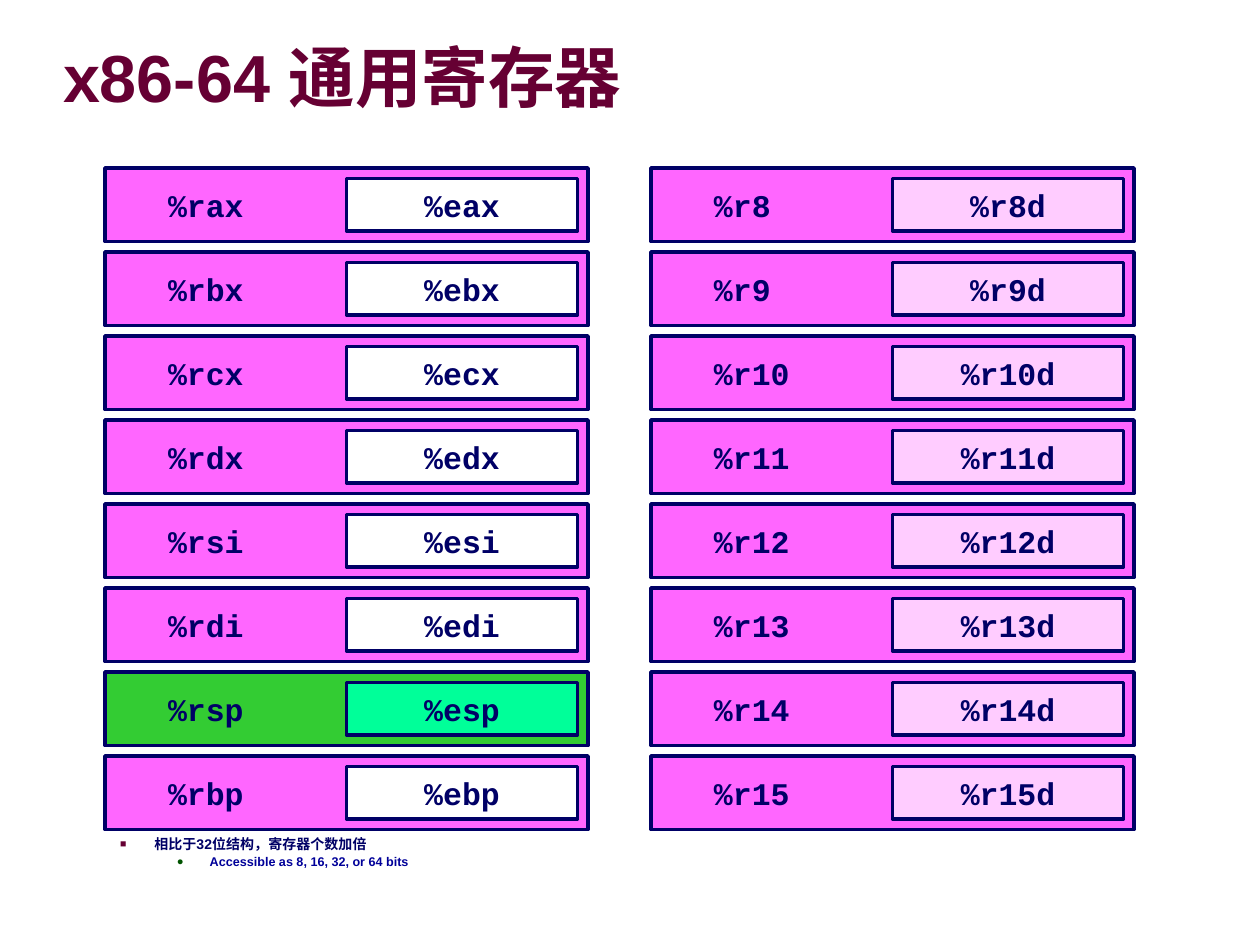
from lxml import etree
from pptx import Presentation
from pptx import util as u
from pptx.dml.color import RGBColor
from pptx.enum import shapes, text
from pptx.oxml import ns

UNIT = u.Inches(1) // 12  # the grid has twelve units to the inch
NAVY, PINK, PALE_PINK, WHITE = "000066", "FF66FF", "FFCCFF", "FFFFFF"
GREEN, MINT = "33CC33", "00FF99"
MAROON = "660033"
STACK_POINTER = "%rsp"

LEGACY = [("%r" + name, "%e" + name)
          for name in ("ax", "bx", "cx", "dx", "si", "di", "sp", "bp")]
EXTENDED = [(f"%r{number}", f"%r{number}d") for number in range(8, 16)]


def color(value):
    return RGBColor.from_string(value)


def grid(*units):
    return [round(unit * UNIT) for unit in units]


def add_element(parent, tag, **attributes):
    return etree.SubElement(parent, ns.qn(tag), attributes)


def format_font(font, size, name, value):
    font.size, font.name, font.bold = u.Pt(size), name, True
    font.color.rgb = color(value)


def set_insets(frame, left, top, right, bottom):
    frame.margin_left, frame.margin_top = u.Inches(left), u.Inches(top)
    frame.margin_right, frame.margin_bottom = u.Inches(right), u.Inches(bottom)


def add_title(slide, box):
    title = slide.shapes.title
    title.left, title.top, title.width, title.height = box
    frame = title.text_frame
    frame.text = "x86-64 通用寄存器"
    frame.auto_size = text.MSO_AUTO_SIZE.NONE
    frame.vertical_anchor = text.MSO_ANCHOR.MIDDLE
    set_insets(frame, 0, 0, 0, 0)
    paragraph = frame.paragraphs[0]
    paragraph.alignment = text.PP_ALIGN.LEFT
    paragraph.line_spacing = 0.87
    run = paragraph.runs[0]
    format_font(run.font, 38, "Arial", MAROON)
    # Text shadow, placed directly after the fill
    effects = etree.Element(ns.qn("a:effectLst"))
    shadow = add_element(effects, "a:outerShdw", dist="38100", dir="2700000")
    add_element(shadow, "a:srgbClr", val="969696")
    run.font._element.find(ns.qn("a:solidFill")).addnext(effects)


def add_box(slide, box, label, fill, alignment, left_inset):
    shape = slide.shapes.add_shape(shapes.MSO_SHAPE.RECTANGLE, *box)
    shape.shadow.inherit = False
    shape.fill.solid()
    shape.fill.fore_color.rgb = color(fill)
    shape.line.color.rgb = color(NAVY)
    shape.line.width = u.Pt(2)
    frame = shape.text_frame
    frame.text = label
    frame.word_wrap = False
    frame.vertical_anchor = text.MSO_ANCHOR.MIDDLE
    set_insets(frame, left_inset, 0.05, 0.1, 0.05)
    paragraph = frame.paragraphs[0]
    paragraph.alignment = alignment
    format_font(paragraph.runs[0].font, 18, "Courier New", NAVY)


def add_register(slide, left, top, names, fills):
    """A 64-bit register with its 32-bit half inside."""
    add_box(slide, grid(left, top, 46, 7), names[0], fills[0],
            text.PP_ALIGN.LEFT, 0.5)
    add_box(slide, grid(left + 23, top + 1, 22, 5), names[1], fills[1],
            text.PP_ALIGN.CENTER, 0.1)


def add_register_column(slide, left, top, registers, half_fill):
    for row, names in enumerate(registers):
        special = names[0] == STACK_POINTER
        fills = (GREEN, MINT) if special else (PINK, half_fill)
        add_register(slide, left, top + 8 * row, names, fills)


def add_notes(slide, box):
    frame = slide.shapes.add_textbox(*box).text_frame
    frame.word_wrap = True
    set_insets(frame, 0.1, 0.05, 0.1, 0.05)
    # text, margin, indent, bullet, bullet colour, bullet share, size, colour
    items = [
        ("相比于32位结构，寄存器个数加倍", 0.81, -0.27, "■", MAROON, 75, 8, NAVY),
        ("Accessible as 8, 16, 32, or 64 bits", 1.25, -0.26, "●", "005400", 90,
         7.2, "000099"),
    ]
    for level, item in enumerate(items):
        words, margin, indent, bullet, bullet_color, share, size, value = item
        paragraph = frame.add_paragraph() if level else frame.paragraphs[0]
        paragraph.text = words
        paragraph.level = level
        if level:
            paragraph.line_spacing = 0.87
            paragraph.space_before = u.Pt(2.2)
        properties = paragraph._p.get_or_add_pPr()
        properties.set("marL", str(u.Inches(margin)))
        properties.set("indent", str(u.Inches(indent)))
        add_element(add_element(properties, "a:buClr"), "a:srgbClr",
                    val=bullet_color)
        add_element(properties, "a:buSzPct", val=str(share * 1000))
        add_element(properties, "a:buFont", typeface="Arial")
        add_element(properties, "a:buChar", char=bullet)
        format_font(paragraph.runs[0].font, size, "Arial", value)


def main():
    presentation = Presentation()
    presentation.slide_width, presentation.slide_height = grid(120, 90)
    slide = presentation.slides.add_slide(presentation.slide_layouts[5])
    add_title(slide, grid(6, 4, 105, 7.5))
    add_register_column(slide, 10, 16, LEGACY, WHITE)
    add_register_column(slide, 62, 16, EXTENDED, PALE_PINK)
    add_notes(slide, grid(3.8, 79, 96.2, 4.5))
    presentation.save("out.pptx")


if __name__ == "__main__":
    main()
